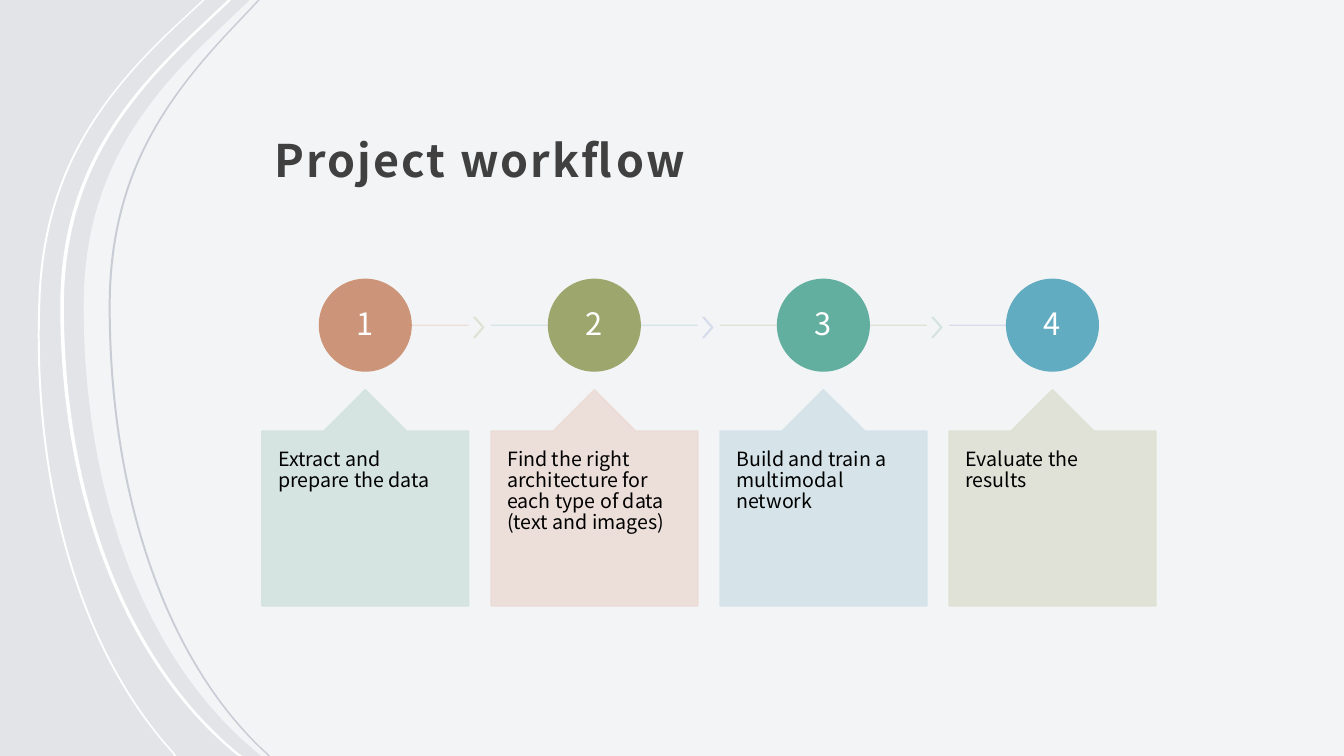
from dataclasses import dataclass

from lxml.etree import SubElement
from pptx import Presentation
from pptx.dml.color import RGBColor
from pptx.enum.shapes import MSO_CONNECTOR as Line, MSO_SHAPE as Shape
from pptx.enum.text import MSO_ANCHOR as Anchor, MSO_AUTO_SIZE as AutoSize, PP_ALIGN as Align
from pptx.oxml.ns import qn
from pptx.util import Cm, Pt


@dataclass(frozen=True)
class Theme:
    font: str = "Noto Sans CJK JP"
    title_size: int = 32
    number_size: int = 22
    body_size: int = 14
    backdrop: str = "E2E4E8"
    white: str = "FFFFFF"
    grey: str = "C8CCD4"
    title: str = "404040"
    body: str = "000000"
    mint: str = "D3E3DF"
    rose: str = "ECDCD7"
    sky: str = "D3E3E9"
    sand: str = "DFE1D4"
    lilac: str = "D5DBEB"
    clay: str = "CC9479"
    olive: str = "9DA66D"
    teal: str = "62AFA0"
    blue: str = "62ACC1"


THEME = Theme()
WIDTH, HEIGHT = 33.87, 19.05

# Lengths in cm: start, end of the straight, then two Bezier segments, end.
PANEL_EDGE = [(6.3, 0), (5.36, 0.89), (3.53, 2.64), (2.11, 4.55), (2.11, 7.72),
              (2.11, 12.5), (3.68, 16.69), (6.53, 19), (6.58, HEIGHT)]
# Edge, ribbon width, colour
RIBBONS = [
    ([(5.11, 0), (4.45, 0.61), (2.59, 2.36), (1.09, 4.27), (0.97, 7.54),
      (0.79, 12.19), (1.98, 16.38), (4.34, 18.97), (4.39, HEIGHT)], 0.05, THEME.white),
    ([(5.74, 0), (4.8, 0.89), (2.97, 2.64), (1.52, 4.55), (1.52, 7.72),
      (1.52, 12.5), (3.12, 16.69), (5.94, 19), (6.02, HEIGHT)], 0.09, THEME.white),
    ([(6.5, 0), (5.66, 0.89), (4.04, 2.64), (2.74, 4.55), (2.74, 7.72),
      (2.74, 12.5), (4.17, 16.69), (6.71, 19), (6.76, HEIGHT)], 0.05, THEME.grey),
]
# Text, circle, card, connecting line, chevron
STEPS = [
    ("Extract and prepare the data", THEME.clay, THEME.mint, THEME.rose, THEME.sand),
    ("Find the right architecture for each type of data (text and images)",
     THEME.olive, THEME.rose, THEME.sky, THEME.lilac),
    ("Build and train a multimodal network", THEME.teal, THEME.sky, THEME.sand, THEME.mint),
    ("Evaluate the results", THEME.blue, THEME.sand, THEME.lilac, None),
]


def paint(fill, color, opacity=100):
    fill.solid()
    fill.fore_color.rgb = RGBColor.from_string(color)
    if opacity < 100:
        tint = fill._xPr.find(qn("a:solidFill"))[0]
        SubElement(tint, qn("a:alpha"), val=str(opacity * 1000))


def write(shape, text, *, size, color, bold=False, align=Align.LEFT, anchor=Anchor.TOP,
          margins=(0.1, 0.1, 0.1, 0.1), line_spacing=0.9, tracking=0):
    """Margins are left, top, right, bottom in cm; tracking is in points."""
    frame = shape.text_frame
    frame.word_wrap = True
    frame.auto_size = AutoSize.NONE
    frame.vertical_anchor = anchor
    (frame.margin_left, frame.margin_top,
     frame.margin_right, frame.margin_bottom) = map(Cm, margins)
    paragraph = frame.paragraphs[0]
    paragraph.alignment = align
    paragraph.line_spacing = line_spacing
    run = paragraph.add_run()
    run.text = text
    run.font.name = THEME.font
    run.font.size = Pt(size)
    run.font.bold = bold
    run.font.color.rgb = RGBColor.from_string(color)
    if tracking:
        run._r.get_or_add_rPr().set("spc", str(int(tracking * 100)))


def add_block(slide, kind, left, top, width, height, color, opacity=100):
    block = slide.shapes.add_shape(kind, Cm(left), Cm(top), Cm(width), Cm(height))
    block.shadow.inherit = False
    paint(block.fill, color, opacity)
    paint(block.line.fill, color, opacity)
    block.line.width = Pt(1)
    return block


def edge_moves(edge):
    """Split an edge into moves: one point is a straight, three are a Bezier."""
    return [edge[0:1], edge[1:2], edge[2:5], edge[5:8], edge[8:9]]


def add_outline(slide, moves, color, opacity=100):
    moves = [[(Cm(x), Cm(y)) for x, y in move] for move in moves]
    start, *knots = [move[-1] for move in moves]
    builder = slide.shapes.build_freeform(*start)
    builder.add_line_segments(knots, close=True)
    outline = builder.convert_to_shape()
    outline.shadow.inherit = False
    paint(outline.fill, color, opacity)
    outline.line.fill.background()

    segments = list(outline._element.iter(qn("a:lnTo")))
    for segment, move in zip(segments, moves[1:]):
        if len(move) == 3:
            segment.tag = qn("a:cubicBezTo")
            segment.clear()
            for x, y in move:
                SubElement(segment, qn("a:pt"), x=str(x - outline.left), y=str(y - outline.top))


def add_backdrop(slide):
    paint(slide.background.fill, THEME.backdrop)
    corners = [[(WIDTH, HEIGHT)], [(WIDTH, 0)]]
    add_outline(slide, edge_moves(PANEL_EDGE) + corners, THEME.white, 60)
    for edge, width, color in RIBBONS:
        far_edge = [(x + width, y) for x, y in reversed(edge)]
        add_outline(slide, edge_moves(edge) + edge_moves(far_edge), color)


def add_title(slide, left, top, width, height):
    title = slide.shapes.title
    slide.shapes._spTree.append(title._element)  # in front of the backdrop
    title.left, title.top, title.width, title.height = map(Cm, (left, top, width, height))
    write(title, "Project workflow", size=THEME.title_size, color=THEME.title, bold=True,
          anchor=Anchor.BOTTOM, margins=(0.32, 0.3, 0.3, 0.25), line_spacing=1.3, tracking=1.5)


def add_link(slide, start, end, y, color):
    link = slide.shapes.add_connector(Line.STRAIGHT, Cm(start), Cm(y), Cm(end), Cm(y))
    paint(link.line.fill, color, 90)
    link.line.width = Pt(1)
    SubElement(link._element.spPr, qn("a:effectLst"))


def add_step(slide, number, step, left, top, width, height):
    text, circle_color, card_color, link_color, chevron_color = step
    diameter, card_offset = 2.31, 2.78
    middle, right = left + width / 2, left + width
    axis = top + diameter / 2

    add_link(slide, middle if number == 1 else left,
             middle if number == len(STEPS) else right, axis, link_color)
    if chevron_color:
        chevron = add_block(slide, Shape.CHEVRON, right + 0.13, axis - 0.2, 0.25, 0.51,
                            chevron_color, 90)
        chevron.adjustments[0] = 0.9

    circle = add_block(slide, Shape.OVAL, middle - diameter / 2, top, diameter, diameter,
                       circle_color)
    write(circle, str(number), size=THEME.number_size, color=THEME.white,
          align=Align.CENTER, anchor=Anchor.MIDDLE)

    card = add_block(slide, Shape.UP_ARROW_CALLOUT, left, top + card_offset, width,
                     height - card_offset, card_color, 90)
    for index, value in enumerate((0.5, 0.2, 0.2, 1)):
        card.adjustments[index] = value
    write(card, text, size=THEME.body_size, color=THEME.body,
          margins=(0.41, 0.46, 0.41, 0.46))


def add_workflow(slide, left, top, width, height):
    gap = 0.56
    step_width = (width - gap * (len(STEPS) - 1)) / len(STEPS)
    for index, step in enumerate(STEPS):
        add_step(slide, index + 1, step, left + index * (step_width + gap), top,
                 step_width, height)


def main():
    deck = Presentation()
    deck.slide_width, deck.slide_height = Cm(WIDTH), Cm(HEIGHT)
    slide = deck.slides.add_slide(deck.slide_layouts[5])
    add_backdrop(slide)
    add_title(slide, 6.6, 1.22, 23.32, 3.73)
    add_workflow(slide, 6.6, 7.04, 22.53, 8.23)
    deck.save("out.pptx")


if __name__ == "__main__":
    main()
